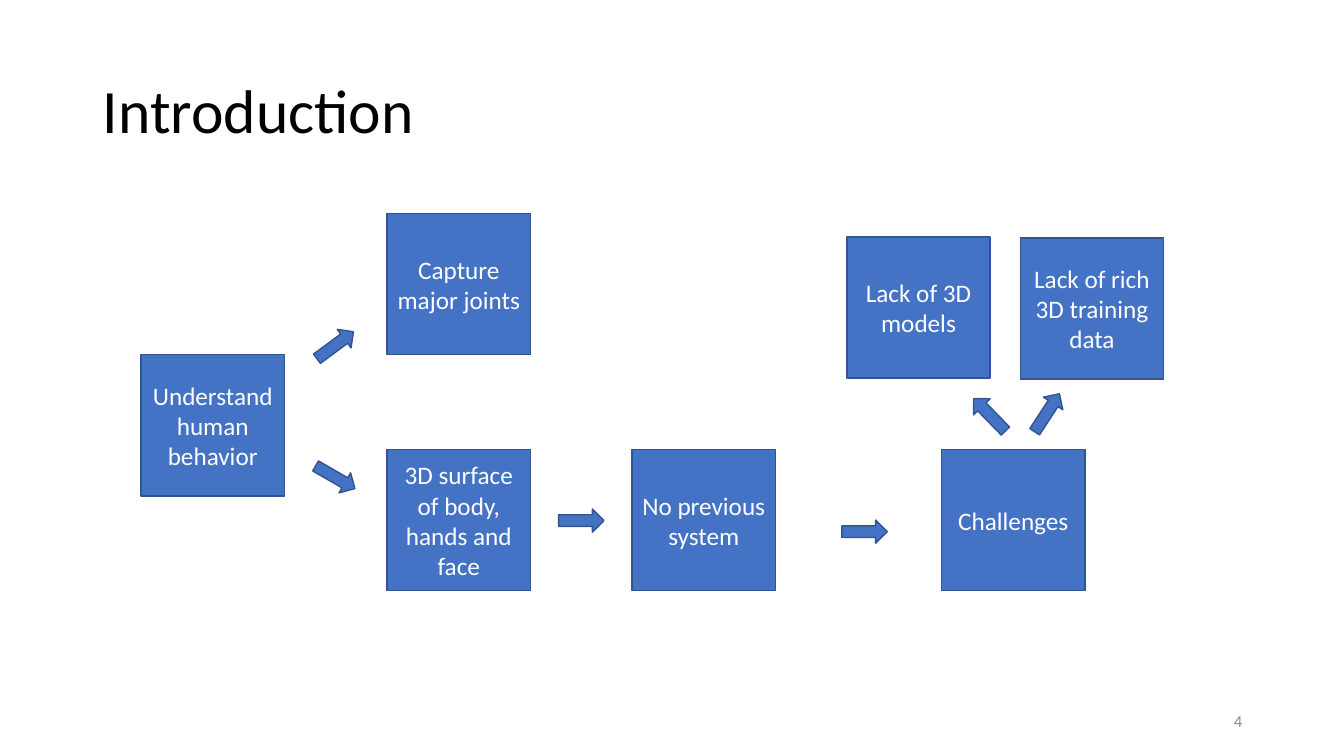
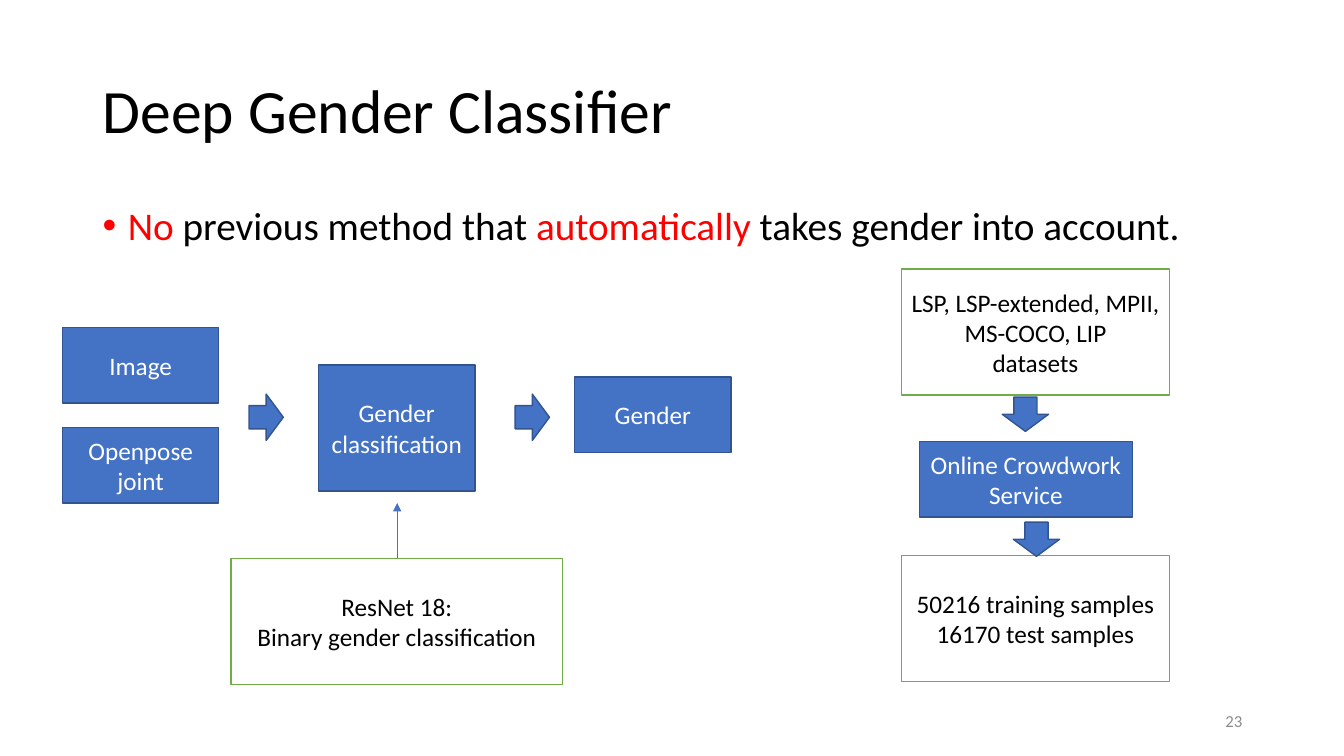
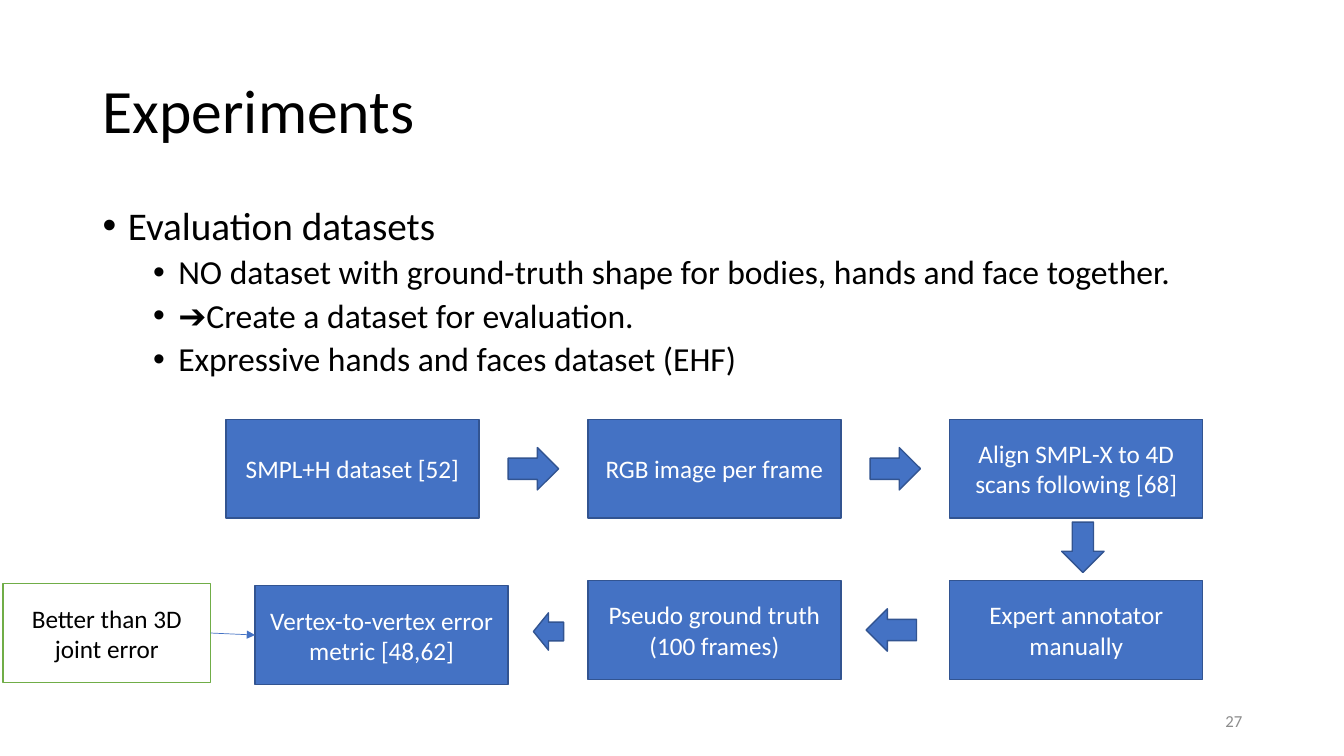
import dataclasses

import pptx
import pptx.dml.color
import pptx.enum.shapes
import pptx.enum.text
import pptx.oxml
import pptx.oxml.ns
import pptx.util
from pptx.util import Inches

RGB = pptx.dml.color.RGBColor.from_string
SHAPE = pptx.enum.shapes.MSO_SHAPE
ALIGN = pptx.enum.text.PP_ALIGN
ANCHOR = pptx.enum.text.MSO_ANCHOR
DRAWING_NS = pptx.oxml.ns.nsdecls("a")


@dataclasses.dataclass(frozen=True)
class Theme:
    font: str = "Calibri"
    black: str = "000000"
    white: str = "FFFFFF"
    blue: str = "4472C4"
    dark_blue: str = "325491"
    green: str = "70AD47"
    red: str = "FF0000"
    gray: str = "8C8C8C"
    title_size: int = 44
    body_sizes: tuple = (28, 24)
    box_size: int = 18
    number_size: int = 12


def set_all(obj, **values):
    for name, value in values.items():
        setattr(obj, name, value)


def add_xml(parent, xml):
    """Append one drawing element, given without its namespace declaration."""
    head, tail = xml.split("/>")
    parent.append(pptx.oxml.parse_xml(f"{head} {DRAWING_NS}/>{tail}"))


class Deck:
    def __init__(self, theme):
        self.theme = theme
        self.prs = pptx.Presentation()
        set_all(self.prs, slide_width=Inches(13.33), slide_height=Inches(7.5))
        self.s = None

    def slide(self, title, number):
        t = self.theme
        self.s = self.prs.slides.add_slide(self.prs.slide_layouts[5])
        sp = self.s.shapes.title
        set_all(sp, left=Inches(0.92), top=Inches(0.4),
                width=Inches(11.5), height=Inches(1.45))
        tf = self.frame(sp, ANCHOR.MIDDLE)
        set_all(tf.paragraphs[0], alignment=ALIGN.LEFT, line_spacing=0.9)
        self.run(tf.paragraphs[0], title, t.title_size, t.black)

        sp = self.s.shapes.add_textbox(Inches(9.42), Inches(6.95), Inches(3), Inches(0.4))
        tf = self.frame(sp, ANCHOR.MIDDLE)
        tf.paragraphs[0].alignment = ALIGN.RIGHT
        self.run(tf.paragraphs[0], str(number), t.number_size, t.gray)

    def frame(self, sp, anchor):
        tf = sp.text_frame
        set_all(tf, word_wrap=True, vertical_anchor=anchor,
                auto_size=pptx.enum.text.MSO_AUTO_SIZE.NONE)
        return tf

    def run(self, p, text, size, color):
        r = p.add_run()
        r.text = text
        set_all(r.font, name=self.theme.font, size=pptx.util.Pt(size))
        r.font.color.rgb = RGB(color)

    def bullets(self, items):
        """Each item is (level, runs), a run being (text, colour)."""
        sp = self.s.shapes.add_textbox(Inches(0.92), Inches(2), Inches(11.5), Inches(4.76))
        tf = self.frame(sp, ANCHOR.TOP)
        for i, (level, runs) in enumerate(items):
            p = tf.add_paragraph() if i else tf.paragraphs[0]
            set_all(p, level=level, line_spacing=0.9,
                    space_before=pptx.util.Pt(5 if level else 10))
            pPr = p._p.get_or_add_pPr()
            pPr.set("marL", str(Inches(0.25 + 0.5 * level)))
            pPr.set("indent", str(Inches(-0.25)))
            add_xml(pPr, '<a:buFont typeface="Arial"/>')
            add_xml(pPr, '<a:buChar char="•"/>')
            for text, color in runs:
                self.run(p, text, self.theme.body_sizes[level], color)

    def shape(self, kind, at, fill, line):
        sp = self.s.shapes.add_shape(kind, *map(Inches, at))
        sp.shadow.inherit = False
        sp.fill.solid()
        sp.fill.fore_color.rgb = RGB(fill)
        sp.line.color.rgb = RGB(line)
        sp.line.width = pptx.util.Pt(1)
        return sp

    def box(self, text, *at, note=False):
        """Blue step, or white note with a green border; each line is a paragraph."""
        t = self.theme
        fill, line, color = ((t.white, t.green, t.black) if note
                             else (t.blue, t.dark_blue, t.white))
        tf = self.frame(self.shape(SHAPE.RECTANGLE, at, fill, line), ANCHOR.MIDDLE)
        for i, part in enumerate(text.split("\n")):
            p = tf.add_paragraph() if i else tf.paragraphs[0]
            p.alignment = ALIGN.CENTER
            self.run(p, part, t.box_size, color)

    def arrow(self, *at, rotation=0):
        sp = self.shape(SHAPE.RIGHT_ARROW, at, self.theme.blue, self.theme.dark_blue)
        sp.rotation = rotation

    def link(self, *ends):
        """Thin line with an arrowhead at its end."""
        line = self.s.shapes.add_connector(
            pptx.enum.shapes.MSO_CONNECTOR.STRAIGHT, *map(Inches, ends))
        line.line.color.rgb = RGB(self.theme.blue)
        line.line.width = pptx.util.Pt(0.5)
        add_xml(line.line._get_or_add_ln(), '<a:tailEnd type="triangle"/>')
        add_xml(line._element.spPr, "<a:effectLst/>")


def introduction(d):
    d.slide("Introduction", 4)
    for text, left, top in (
            ("Understand human behavior", 1.4, 3.52),
            ("Capture major joints", 3.84, 2.12),
            ("3D surface of body, hands and face", 3.84, 4.46),
            ("No previous system", 6.27, 4.46),
            ("Challenges", 9.34, 4.46),
            ("Lack of 3D models", 8.4, 2.35),
            ("Lack of rich 3D training data", 10.12, 2.36)):
        d.box(text, left, top, 1.42, 1.4)
    for left, top, rotation in ((3.1, 3.31, 323.5), (3.1, 4.62, 30), (5.54, 5.05, 0),
                                (8.35, 5.16, 0), (10.16, 3.98, 303.1), (9.59, 4, 225.8)):
        d.arrow(left, top, 0.45, 0.23, rotation=rotation)


def gender_classifier(d):
    t = d.theme
    d.slide("Deep Gender Classifier", 23)
    d.bullets([(0, [("No", t.red), (" previous method that ", t.black),
                    ("automatically", t.red), (" takes gender into account.", t.black)])])
    for text, left, top, width, height in (
            ("Gender classification", 3.16, 3.62, 1.55, 1.25),
            ("Image", 0.62, 3.25, 1.55, 0.75),
            ("Openpose joint", 0.62, 4.24, 1.55, 0.75),
            ("Gender", 5.7, 3.74, 1.55, 0.75),
            ("Online Crowdwork Service", 9.12, 4.38, 2.11, 0.75)):
        d.box(text, left, top, width, height)
    for text, left, top, width in (
            ("ResNet 18:\nBinary gender classification", 2.29, 5.54, 3.29),
            ("50216 training samples\n16170 test samples", 8.94, 5.51, 2.66),
            ("LSP, LSP-extended, MPII, MS-COCO, LIP\ndatasets", 8.94, 2.67, 2.66)):
        d.box(text, left, top, width, 1.25, note=True)
    for left, top, rotation in ((2.47, 3.91, 0), (5.11, 3.91, 0),
                                (10, 3.88, 90), (10.11, 5.12, 90)):
        d.arrow(left, top, 0.34, 0.46, rotation=rotation)
    d.link(3.94, 5.54, 3.94, 4.99)


def experiments(d):
    d.slide("Experiments", 27)
    d.bullets([(level, [(text, d.theme.black)]) for level, text in (
        (0, "Evaluation datasets"),
        (1, "NO dataset with ground-truth shape for bodies, hands and face together."),
        (1, "➔Create a dataset for evaluation."),
        (1, "Expressive hands and faces dataset (EHF)"))])
    columns = [2.24 + 3.59 * i for i in range(3)]
    upper, lower, width, height = 4.16, 5.76, 2.51, 0.98
    for text, left, top in (
            ("SMPL+H dataset [52]", columns[0], upper),
            ("RGB image per frame", columns[1], upper),
            ("Align SMPL-X to 4D scans following [68]", columns[2], upper),
            ("Expert annotator manually", columns[2], lower),
            ("Pseudo ground truth\n(100 frames)", columns[1], lower),
            ("Vertex-to-vertex error metric [48,62]", 2.53, 5.81)):
        d.box(text, left, top, width, height)
    d.box("Better than 3D joint error", 0.03, 5.79, 2.06, height, note=True)
    for left, top, rotation in ((5.04, 4.44, 0), (8.63, 4.44, 0),
                                (10.49, 5.22, 90), (8.59, 6.04, 180)):
        d.arrow(left, top, 0.5, 0.42, rotation=rotation)
    d.arrow(5.29, 6.08, 0.3, 0.37, rotation=180)
    d.link(2.09, 6.28, 2.53, 6.3)


def main():
    d = Deck(Theme())
    for build in (introduction, gender_classifier, experiments):
        build(d)
    d.prs.save("out.pptx")


if __name__ == "__main__":
    main()
